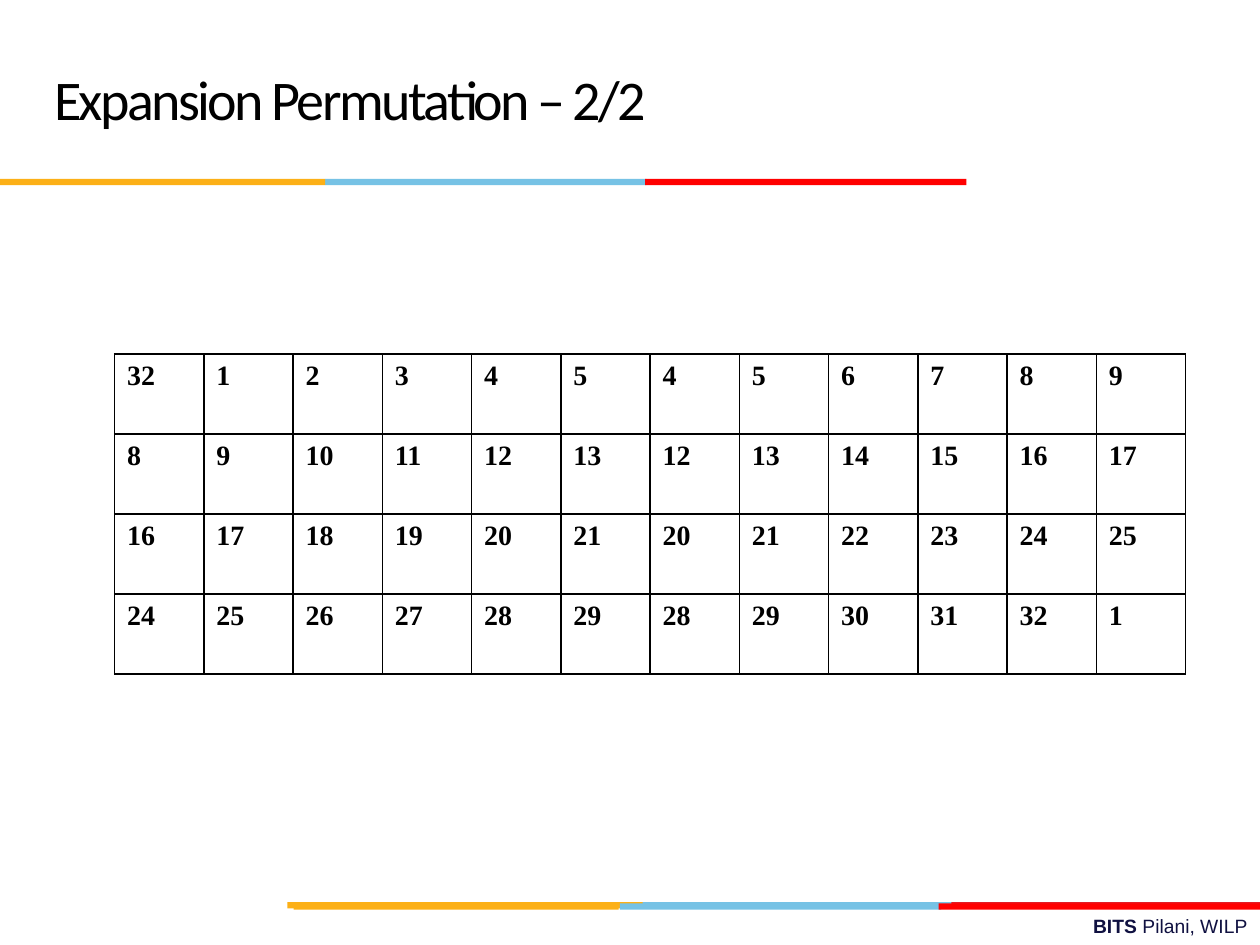
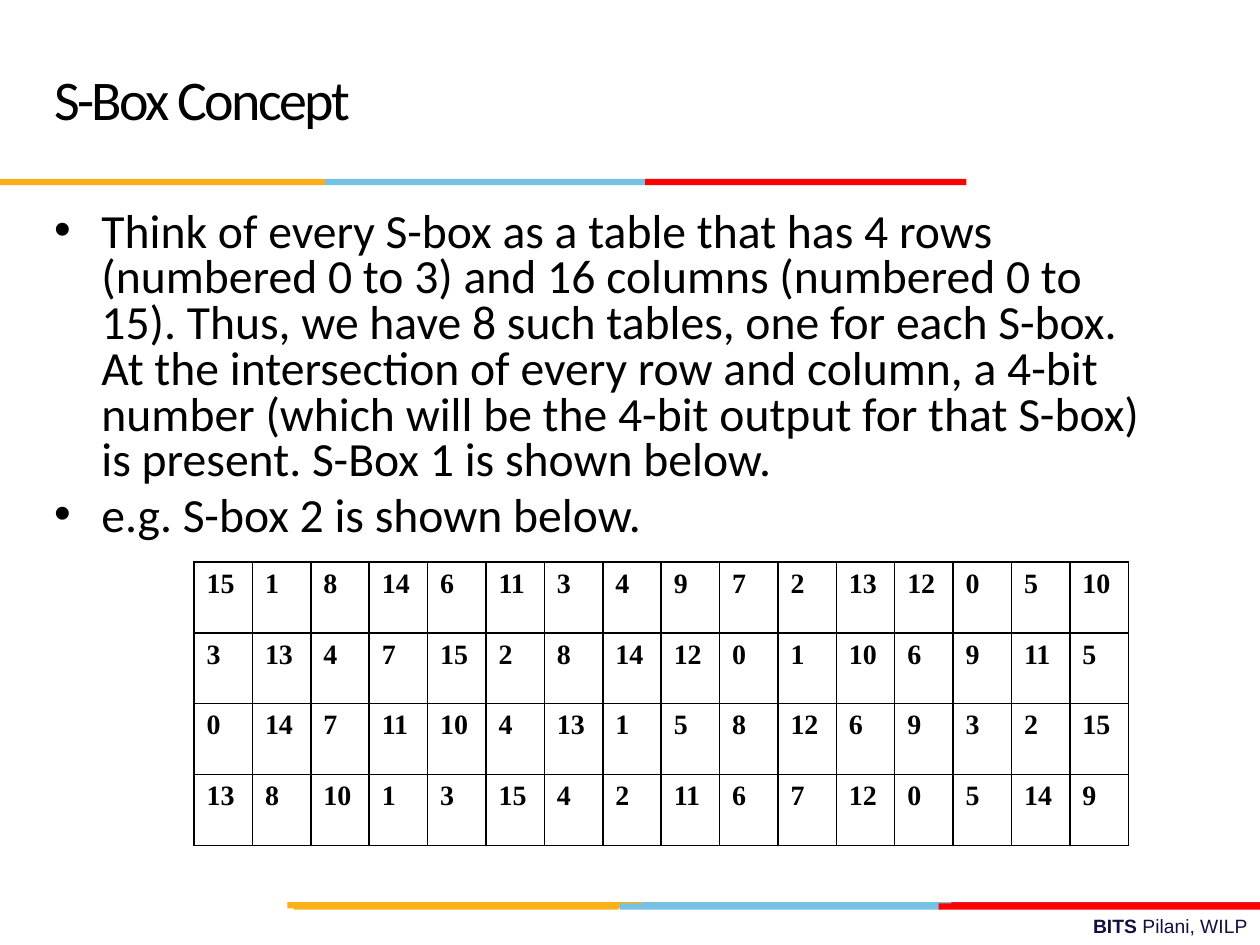
from dataclasses import dataclass

from lxml.etree import SubElement
from pptx import Presentation
from pptx.dml.color import RGBColor
from pptx.enum.shapes import MSO_SHAPE as Preset
from pptx.enum.text import MSO_ANCHOR as Anchor, MSO_AUTO_SIZE as AutoSize, PP_ALIGN as Align
from pptx.oxml.ns import qn
from pptx.util import Inches, Pt

BLACK = RGBColor(0x00, 0x00, 0x00)
NAVY = RGBColor(0x10, 0x11, 0x41)
ORANGE = RGBColor(0xFC, 0xB0, 0x17)
BLUE = RGBColor(0x76, 0xC2, 0xE5)
CRIMSON = RGBColor(0xE3, 0x1C, 0x24)
RED = RGBColor(0xFF, 0x00, 0x00)

SLIDE_WIDTH, SLIDE_HEIGHT = Inches(10), Inches(7.5)
COLUMN, ROW = SLIDE_WIDTH // 100, SLIDE_HEIGHT // 75

TITLE_FONT = {"name": "Calibri", "size": Pt(32), "bold": False}
BODY_FONT = {"name": "Calibri", "size": Pt(27.2), "bold": False}
TABLE_FONT = {"name": "Times New Roman", "size": Pt(16), "bold": True}
FOOTER_FONT = {"name": "Arial", "size": Pt(11)}
HANGING_INDENT = Inches(0.38)

BAND_HEIGHT = 0.5
BANDS = [
    (71.6, [(BLUE, 50.6, 25.5), (CRIMSON, 75.5, 24.5), (ORANGE, 22.8, 28.2)]),
    (71.7, [(BLUE, 49.2, 25.5), (ORANGE, 23.3, 25.8), (RED, 74.5, 25.5)]),
    (14.2, [(BLUE, 25.8, 25.5), (ORANGE, 0, 25.8), (RED, 51.2, 25.5)]),
]

EXPANSION = [
    [(4 * group + bit - 1) % 32 + 1 for group in (2 * row, 2 * row + 1) for bit in range(6)]
    for row in range(4)
]
S_BOX_POINTS = [
    "Think of every S-box as a table that has 4 rows (numbered 0 to 3) and 16 columns "
    "(numbered 0 to 15). Thus, we have 8 such tables, one for each S-box. At the "
    "intersection of every row and column, a 4-bit number (which will be the 4-bit output "
    "for that S-box) is present. S-Box 1 is shown below.",
    "e.g. S-box 2 is shown below.",
]
S_BOX = [
    [15, 1, 8, 14, 6, 11, 3, 4, 9, 7, 2, 13, 12, 0, 5, 10],
    [3, 13, 4, 7, 15, 2, 8, 14, 12, 0, 1, 10, 6, 9, 11, 5],
    [0, 14, 7, 11, 10, 4, 13, 1, 5, 8, 12, 6, 9, 3, 2, 15],
    [13, 8, 10, 1, 3, 15, 4, 2, 11, 6, 7, 12, 0, 5, 14, 9],
]


@dataclass
class Box:
    left: float
    top: float
    width: float
    height: float

    def lengths(self):
        units = (COLUMN, ROW, COLUMN, ROW)
        shares = (self.left, self.top, self.width, self.height)
        return [int(share * unit) for share, unit in zip(shares, units)]


TITLE_BOX = Box(3.3, 1.7, 69.2, 12.5)
BODY_BOX = Box(3.3, 16.3, 90, 28.3)
FOOTER_BOX = Box(35.8, 72.1, 64.2, 2.9)
EXPANSION_BOX = Box(9.1, 28.1, 85, 25.4)
S_BOX_BOX = Box(15.4, 44.6, 74.2, 22.5)


def set_values(target, values):
    for name, value in values.items():
        setattr(target, name, value)


def add_run(paragraph, text, font, colour=BLACK):
    run = paragraph.add_run()
    run.text = text
    set_values(run.font, font)
    run.font.color.rgb = colour
    return run


def move(shape, box):
    set_values(shape, dict(zip(("left", "top", "width", "height"), box.lengths())))


def add_bands(slide):
    for top, parts in BANDS:
        for colour, left, width in parts:
            box = Box(left, top, width, BAND_HEIGHT)
            band = slide.shapes.add_shape(Preset.RECTANGLE, *box.lengths())
            band.shadow.inherit = False
            band.fill.solid()
            band.fill.fore_color.rgb = colour
            band.line.fill.background()


def add_footer(slide, box):
    frame = slide.shapes.add_textbox(*box.lengths()).text_frame
    set_values(frame, {"word_wrap": True, "auto_size": AutoSize.SHAPE_TO_FIT_TEXT})
    paragraph = frame.paragraphs[0]
    paragraph.alignment = Align.RIGHT
    for text, bold in (("BITS ", True), ("Pilani, WILP", False)):
        add_run(paragraph, text, FOOTER_FONT | {"bold": bold}, NAVY)


def fill_title(slide, box, text):
    title = slide.shapes.title
    move(title, box)
    frame = title.text_frame
    set_values(frame, {"vertical_anchor": Anchor.MIDDLE, "auto_size": AutoSize.NONE})
    paragraph = frame.paragraphs[0]
    set_values(paragraph, {"alignment": Align.LEFT, "line_spacing": Pt(36)})
    run = add_run(paragraph, text, TITLE_FONT)
    run.font._element.set("spc", "-150")


def fill_body(slide, box, points):
    body = slide.placeholders[1]
    move(body, box)
    frame = body.text_frame
    frame.auto_size = AutoSize.NONE
    for index, point in enumerate(points):
        paragraph = frame.add_paragraph() if index else frame.paragraphs[0]
        spacing = {"line_spacing": 0.8, "space_before": Pt(5.4 if index else 0)}
        set_values(paragraph, spacing)
        add_run(paragraph, point, BODY_FONT)


def add_borders(cell):
    properties = cell._tc.get_or_add_tcPr()
    for side in ("a:lnL", "a:lnR", "a:lnT", "a:lnB"):
        line = SubElement(properties, qn(side), w=str(Pt(1)))
        fill = SubElement(line, qn("a:solidFill"))
        SubElement(fill, qn("a:srgbClr"), val=str(BLACK))


def add_number_table(slide, box, numbers):
    size = len(numbers), len(numbers[0])
    table = slide.shapes.add_table(*size, *box.lengths()).table
    set_values(table, {"first_row": False, "horz_banding": False})
    for row, values in enumerate(numbers):
        for column, value in enumerate(values):
            cell = table.cell(row, column)
            add_borders(cell)
            cell.fill.background()
            paragraph = cell.text_frame.paragraphs[0]
            paragraph.alignment = Align.JUSTIFY
            indents = paragraph._p.get_or_add_pPr()
            indents.set("marL", str(HANGING_INDENT))
            indents.set("indent", str(-HANGING_INDENT))
            add_run(paragraph, str(value), TABLE_FONT)


def add_slide(presentation, layout_name, title):
    layout = presentation.slide_layouts.get_by_name(layout_name)
    slide = presentation.slides.add_slide(layout)
    add_footer(slide, FOOTER_BOX)
    add_bands(slide)
    fill_title(slide, TITLE_BOX, title)
    return slide


def main():
    presentation = Presentation()
    set_values(presentation, {"slide_width": SLIDE_WIDTH, "slide_height": SLIDE_HEIGHT})

    expansion = add_slide(presentation, "Title Only", "Expansion Permutation – 2/2")
    add_number_table(expansion, EXPANSION_BOX, EXPANSION)

    concept = add_slide(presentation, "Title and Content", "S-Box Concept")
    fill_body(concept, BODY_BOX, S_BOX_POINTS)
    add_number_table(concept, S_BOX_BOX, S_BOX)

    presentation.save("out.pptx")


if __name__ == "__main__":
    main()
